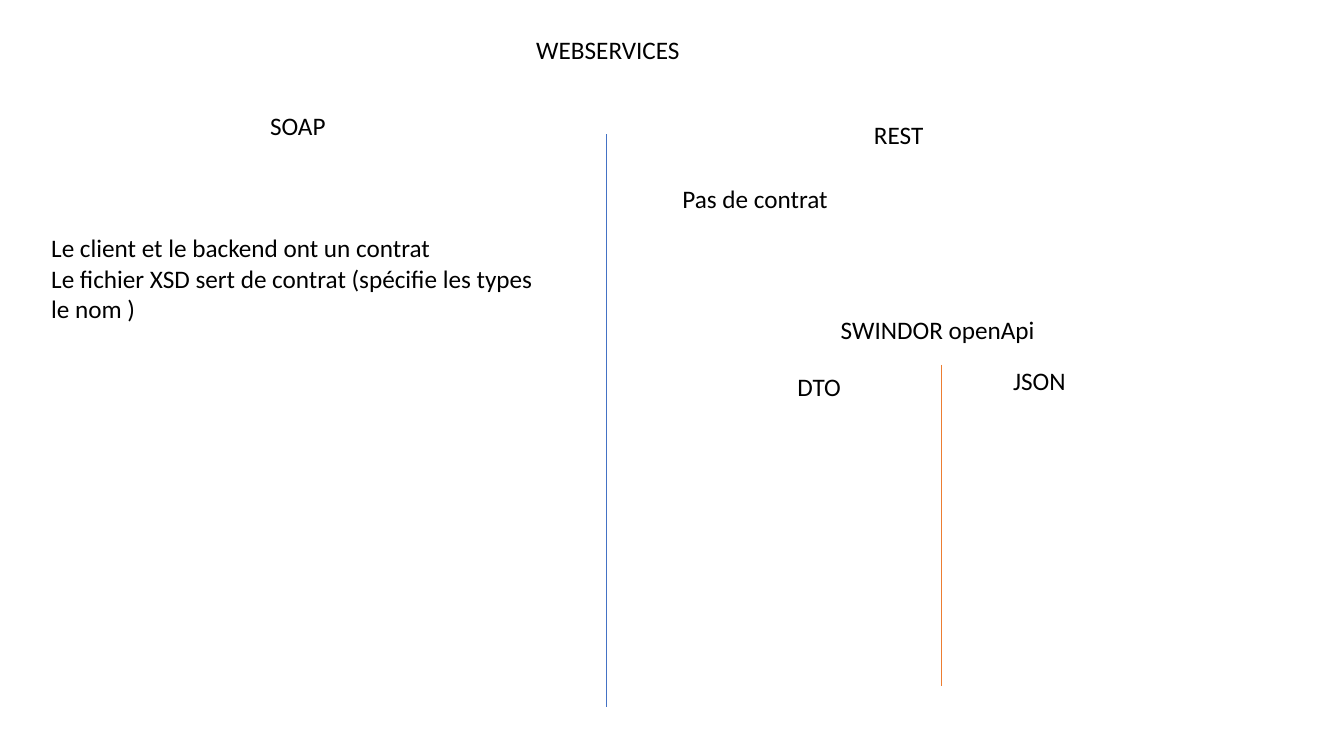
from pptx import Presentation
from pptx.dml.color import RGBColor
from pptx.enum.shapes import MSO_CONNECTOR
from pptx.enum.text import MSO_AUTO_SIZE
from pptx.oxml.ns import qn
from pptx.util import Inches, Pt
from lxml import etree

STRAIGHT = MSO_CONNECTOR.STRAIGHT
GROW = MSO_AUTO_SIZE.SHAPE_TO_FIT_TEXT
FONT = "Calibri"
BLACK, BLUE, ORANGE = "000000", "4472C4", "ED7D31"
LINE_HEIGHT = 0.4


def color(value):
    """Turn a hex string into a colour."""
    return RGBColor.from_string(value)


def add_text(page, left, top, width, *lines, height=LINE_HEIGHT):
    """Add a text box with one paragraph per line."""
    box = page.shapes.add_textbox(
        Inches(left), Inches(top), Inches(width), Inches(height))
    frame = box.text_frame
    frame.word_wrap = True
    frame.auto_size = GROW
    for index, line in enumerate(lines):
        para = frame.add_paragraph() if index else frame.paragraphs[0]
        span = para.add_run()
        span.text = line
        span.font.name = FONT
        span.font.size = Pt(18)
        span.font.color.rgb = color(BLACK)


def add_divider(page, left, top, height, shade):
    """Add a thin vertical line without shadow."""
    divider = page.shapes.add_connector(
        STRAIGHT, Inches(left), Inches(top), Inches(left), Inches(top + height))
    divider.line.color.rgb = color(shade)
    divider.line.width = Pt(0.5)
    etree.SubElement(divider._element.spPr, qn("a:effectLst"))


def add_soap(page, left, top):
    """Place the SOAP heading and its notes."""
    add_text(page, left + 2.17, top, 1.06, "SOAP")
    add_text(page, left, top + 1.21, 5.04,
             "Le client et le backend ont un contrat",
             "Le fichier XSD sert de contrat (spécifie les types le nom )",
             height=1.01)


def add_rest(page, left, top):
    """Place the REST heading, its note and the API comparison."""
    add_text(page, left + 1.9, top, 1.06, "REST")
    add_text(page, left, top + 0.64, 5.04, "Pas de contrat")
    add_open_api(page, left + 1.14, top + 1.94)


def add_open_api(page, left, top):
    """Place the API heading over its DTO and JSON columns."""
    add_divider(page, left + 1.53, top + 0.55, 3.19, ORANGE)
    add_text(page, left, top + 0.56, 0.92, "DTO")
    add_text(page, left + 2.14, top + 0.51, 0.98, "JSON")
    add_text(page, left + 0.43, top, 3.15, "SWINDOR openApi")


def main():
    """Build the web services slide and save the deck."""
    deck = Presentation()
    deck.slide_width, deck.slide_height = Inches(13.33), Inches(7.5)
    page = deck.slides.add_slide(deck.slide_layouts[6])
    add_divider(page, 6.01, 1.33, 5.68, BLUE)
    add_text(page, 5.22, 0.29, 2.29, "WEBSERVICES")
    add_soap(page, 0.41, 1.05)
    add_rest(page, 6.67, 1.13)
    deck.save("out.pptx")


main()
